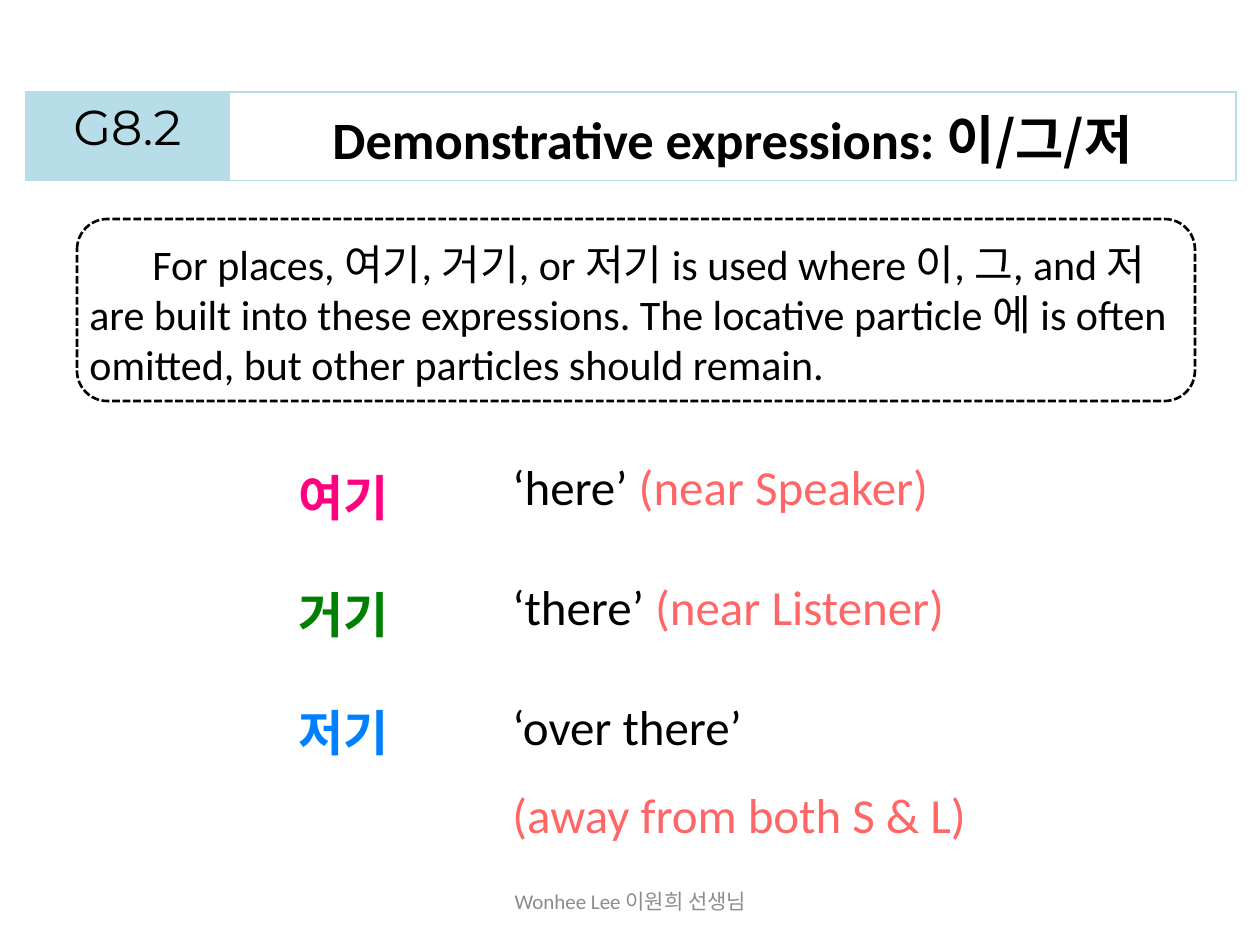
from dataclasses import dataclass
from lxml.etree import SubElement
from pptx import Presentation
from pptx.dml.color import RGBColor as Rgb
from pptx.enum.dml import MSO_LINE_DASH_STYLE as Dash
from pptx.enum.shapes import MSO_SHAPE as Shape
from pptx.enum.text import MSO_ANCHOR as Anchor, MSO_AUTO_SIZE as AutoSize, PP_ALIGN as Align
from pptx.oxml.ns import qn
from pptx.util import Emu, Pt


@dataclass(frozen=True)
class Theme:
    latin: str = "Calibri"
    korean: str = "Noto Sans CJK KR"
    label: str = "Montserrat"
    ink: str = "000000"
    band: str = "B7DEE8"
    here: str = "FF0080"
    there: str = "008000"
    yonder: str = "0080FF"
    hint: str = "FF6666"
    muted: str = "8C8C8C"
    title_size: int = 30
    term_size: int = 28
    note_size: int = 24
    footer_size: int = 12


THEME = Theme()
PX_PER_INCH = 126


def px(count):
    return Emu(round(count * 914400 / PX_PER_INCH))


def set_all(target, values):
    for name, value in values.items():
        setattr(target, name, value)


def add_span(para, text, size, color=THEME.ink, name=THEME.latin, bold=False):
    span = para.add_run()
    span.text = text
    set_all(span.font, {"name": name, "size": Pt(size), "bold": bold})
    span.font.color.rgb = Rgb.from_string(color)
    east_asian = SubElement(span.font._element, qn("a:ea"))
    east_asian.set("typeface", THEME.korean)


def fill_frame(frame, paras, size, bold=False, **para_format):
    """Each paragraph is a list of (text, color) spans."""
    for index, spans in enumerate(paras):
        para = frame.add_paragraph() if index else frame.paragraphs[0]
        set_all(para, para_format)
        for text, color in spans:
            add_span(para, text, size, color, bold=bold)


def add_text(page, place, paras, size, wrap=False, anchor=Anchor.TOP, bold=False, **para_format):
    box = page.shapes.add_textbox(*map(px, place))
    set_all(box.text_frame, {
        "word_wrap": wrap,
        "auto_size": AutoSize.NONE if anchor == Anchor.MIDDLE else AutoSize.SHAPE_TO_FIT_TEXT,
        "vertical_anchor": anchor,
    })
    fill_frame(box.text_frame, paras, size, bold, **para_format)
    return box


def add_tab_stop(para, position):
    stops = SubElement(para._p.get_or_add_pPr(), qn("a:tabLst"))
    stop = SubElement(stops, qn("a:tab"))
    stop.set("pos", str(px(position)))
    stop.set("algn", "l")


def add_borders(cell, color):
    properties = cell._tc.get_or_add_tcPr()
    for index, side in enumerate(("lnL", "lnR", "lnT", "lnB")):
        line = properties.makeelement(qn(f"a:{side}"), {"w": str(Pt(1))})
        fill = SubElement(line, qn("a:solidFill"))
        SubElement(fill, qn("a:srgbClr")).set("val", color)
        properties.insert(index, line)


def add_heading(page):
    widths = (203, 1007)
    table = page.shapes.add_table(1, 2, px(26), px(92), px(sum(widths)), px(76)).table
    set_all(table, {"first_row": False, "horz_banding": False})
    for column, width in zip(table.columns, widths):
        column.width = px(width)
    number, title = table.rows[0].cells
    number.fill.solid()
    number.fill.fore_color.rgb = Rgb.from_string(THEME.band)
    title.fill.background()
    for cell in (number, title):
        add_borders(cell, THEME.band)
        cell.text_frame.paragraphs[0].alignment = Align.CENTER
    add_span(number.text_frame.paragraphs[0], "G8.2", THEME.term_size, name=THEME.label)
    para = title.text_frame.paragraphs[0]
    add_span(para, "Demonstrative expressions: ", THEME.title_size, bold=True)
    add_span(para, "이/그/저", THEME.title_size, name=THEME.korean, bold=True)


def add_note(page):
    border = page.shapes.add_shape(Shape.ROUNDED_RECTANGLE, px(77), px(219), px(1118), px(182))
    border.shadow.inherit = False
    border.fill.background()
    border.line.color.rgb = Rgb.from_string(THEME.ink)
    set_all(border.line, {"width": Pt(1.5), "dash_style": Dash.SQUARE_DOT})
    text = ("\tFor places, 여기, 거기, or 저기 is used where 이, 그, and 저 are built into these "
            "expressions. The locative particle 에 is often omitted, but other particles should remain.")
    box = add_text(page, (77, 232, 1118, 165), [[(text, THEME.ink)]], THEME.note_size, wrap=True)
    add_tab_stop(box.text_frame.paragraphs[0], 63)


def add_terms(page):
    terms = (("여기", THEME.here), ("거기", THEME.there), ("저기", THEME.yonder))
    add_text(page, (286, 402, 118, 359), [[term] for term in terms],
             THEME.term_size, bold=True, line_spacing=2.0)


def add_meanings(page):
    meanings = (
        (447, 97, [[("‘here’ ", THEME.ink), ("(near Speaker)", THEME.hint)]]),
        (462, 97, [[("‘there’ ", THEME.ink), ("(near Listener)", THEME.hint)]]),
        (486, 186, [[("‘over there’", THEME.ink)], [("(away from both S & L)", THEME.hint)]]),
    )
    for row, (width, height, paras) in enumerate(meanings):
        add_text(page, (500, 421 + 120 * row, width, height), paras,
                 THEME.term_size, line_spacing=1.5)


def main():
    deck = Presentation()
    set_all(deck, {"slide_width": px(1260), "slide_height": px(945)})
    page = deck.slides.add_slide(deck.slide_layouts[6])

    # Lesson number and title
    add_heading(page)
    # Grammar explanation
    add_note(page)
    # Korean words with their meanings
    add_terms(page)
    add_meanings(page)
    # Teacher's name
    add_text(page, (431, 876, 399, 50), [[("Wonhee Lee 이원희 선생님", THEME.muted)]],
             THEME.footer_size, wrap=True, anchor=Anchor.MIDDLE, alignment=Align.CENTER)

    deck.save("out.pptx")


if __name__ == "__main__":
    main()
